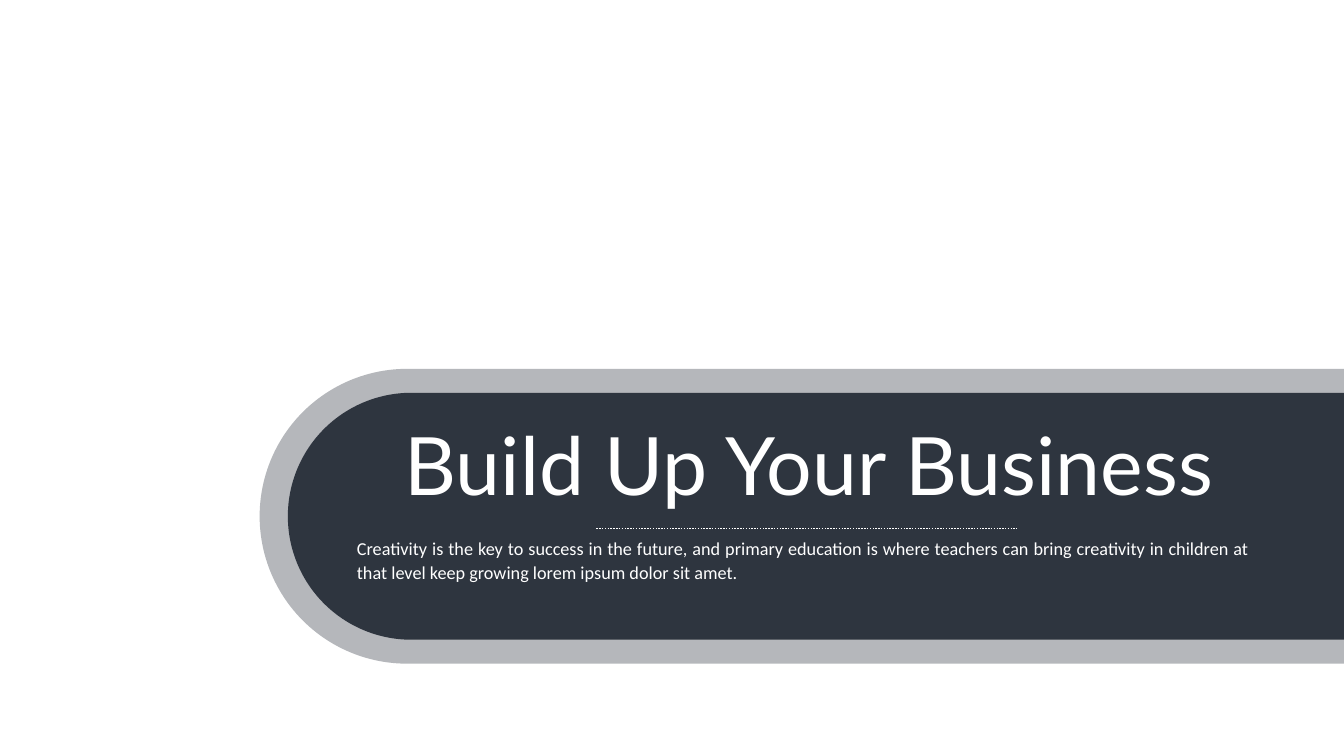
from lxml.etree import SubElement
from pptx import Presentation
from pptx.dml.color import RGBColor
from pptx.enum.dml import MSO_LINE
from pptx.enum.shapes import MSO_CONNECTOR, MSO_SHAPE
from pptx.enum.text import MSO_ANCHOR as Anchor, MSO_AUTO_SIZE as AutoSize, PP_ALIGN as Align
from pptx.oxml.ns import qn
from pptx.util import Pt


def colour(value):
    return RGBColor.from_string(value)


class Banner:
    navy = "202732"
    white = "FFFFFF"
    axis = 737.5  # shared centre line of the two bands

    def __init__(self, slide):
        self.slide = slide
        self.shapes = slide.shapes

    def band(self, left, right, height, opacity):
        """Draw a band with a round left end: an upright shape turned by 270 degrees."""
        length = right - left
        band = self.shapes.add_shape(
            MSO_SHAPE.ROUND_2_SAME_RECTANGLE,
            Pt((left + right - height) / 2), Pt(self.axis - length / 2),
            Pt(height), Pt(length))
        band.rotation = 270
        band.adjustments[0], band.adjustments[1] = 0.5, 0
        band.shadow.inherit = False
        band.line.fill.background()
        band.fill.solid()
        band.fill.fore_color.rgb = colour(self.navy)
        tint = band.fill._xPr.find(qn("a:solidFill"))[0]
        SubElement(tint, qn("a:alpha"), val=str(opacity * 1000))

    def dotted_rule(self, left, right, y):
        rule = self.shapes.add_connector(
            MSO_CONNECTOR.STRAIGHT, Pt(left), Pt(y), Pt(right), Pt(y))
        rule.line.color.rgb = colour(self.white)
        rule.line.width = Pt(2)
        rule.line.dash_style = MSO_LINE.ROUND_DOT
        SubElement(rule._element.spPr, qn("a:effectLst"))

    def text(self, words, box, margins, font, frame_format, paragraph_format):
        frame = self.shapes.add_textbox(*map(Pt, box)).text_frame
        across, down = map(Pt, margins)
        frame_format = {"word_wrap": True, "margin_left": across, "margin_right": across,
                        "margin_top": down, "margin_bottom": down, **frame_format}
        paragraph = frame.paragraphs[0]
        paragraph.text = words
        run_font = paragraph.runs[0].font
        for target, values in ((frame, frame_format), (paragraph, paragraph_format),
                               (run_font, font)):
            for name, value in values.items():
                setattr(target, name, value)
        run_font.color.rgb = colour(self.white)


def main():
    deck = Presentation()
    deck.slide_width, deck.slide_height = Pt(1919.52), Pt(1080)
    banner = Banner(deck.slides.add_slide(deck.slide_layouts[6]))

    # Pale outer band and dark inner band
    banner.band(370.8, 1936.8, 421.2, 33)
    banner.band(411.12, 1920.24, 352.8, 90)

    # Headline
    banner.text("Build Up Your Business", (364.32, 585.36, 1581.84, 151.92), (4.32, 4.32),
                {"name": "Lato", "size": Pt(115)},
                {"vertical_anchor": Anchor.MIDDLE},
                {"alignment": Align.CENTER})

    # Divider and supporting sentence
    banner.dotted_rule(851.76, 1452.96, 755.28)
    banner.text("Creativity is the key to success in the future, and primary education is where "
                "teachers can bring creativity in children at that level keep growing lorem "
                "ipsum dolor sit amet.",
                (495.36, 757.44, 1303.92, 83.52), (14.4, 7.2),
                {"name": "Calibri", "size": Pt(26)},
                {"auto_size": AutoSize.SHAPE_TO_FIT_TEXT},
                {"alignment": Align.JUSTIFY, "line_spacing": 1.1})

    deck.save("out.pptx")


if __name__ == "__main__":
    main()
